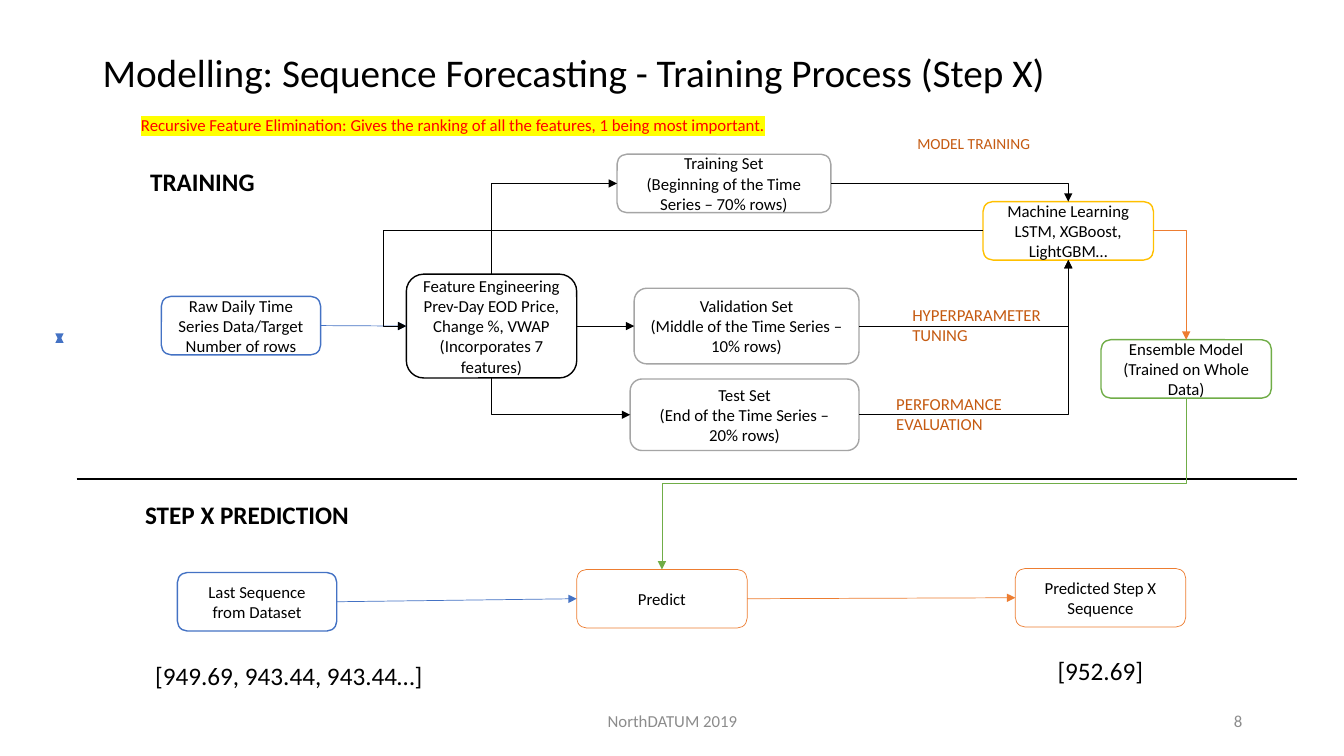
from dataclasses import dataclass

from lxml import etree
from pptx import Presentation
from pptx.dml.color import RGBColor
from pptx.enum.shapes import MSO_CONNECTOR, MSO_SHAPE
from pptx.enum.text import MSO_ANCHOR, PP_ALIGN
from pptx.oxml.ns import qn
from pptx.util import Inches, Pt

TOP, LEFT, BOTTOM, RIGHT = range(4)  # connection sites of a box


@dataclass(frozen=True)
class Theme:
    """Colours, type sizes and line widths of the slide."""
    font: str = "Calibri"
    black: str = "000000"
    white: str = "FFFFFF"
    blue: str = "4472C4"
    grey: str = "A5A5A5"
    green: str = "70AD47"
    gold: str = "FFC000"
    orange: str = "ED7D31"
    rust: str = "C55A11"
    red: str = "FF0000"
    yellow: str = "FFFF00"
    muted: str = "8C8C8C"
    title: int = 28
    heading: int = 18
    body: int = 12
    small: int = 11
    thin: float = 0.5
    outline: float = 1
    rule: float = 1.5


class Diagram:
    """Draws on one slide; lengths are columns and rows of a 0.1 inch grid."""

    def __init__(self, slide, theme):
        """Keep the slide and its style."""
        self.shapes, self.theme = slide.shapes, theme

    def grid(self, *cells):
        """Turn grid cells into slide lengths."""
        return [Inches(cell / 10) for cell in cells]

    def set_text(self, frame, lines, size, color, align, anchor, bold=False):
        """Fill a text frame with one paragraph per line."""
        frame.word_wrap, frame.vertical_anchor = True, anchor
        for i, line in enumerate(lines):
            paragraph = frame.paragraphs[0] if i == 0 else frame.add_paragraph()
            paragraph.alignment = align
            run = paragraph.add_run()
            run.text = line
            run.font.name, run.font.size, run.font.bold = self.theme.font, Pt(size), bold
            run.font.color.rgb = RGBColor.from_string(color)

    def text(self, place, words, size, color=None, align=PP_ALIGN.LEFT,
             anchor=MSO_ANCHOR.TOP, bold=False):
        """Add a text box and return its paragraph."""
        frame = self.shapes.add_textbox(*self.grid(*place)).text_frame
        self.set_text(frame, [words], size, color or self.theme.black, align, anchor, bold)
        return frame.paragraphs[0]

    def highlight(self, paragraph, color):
        """Mark the paragraph's text with a background colour."""
        fill = paragraph.runs[0].font._element.find(qn("a:solidFill"))
        mark = etree.Element(qn("a:highlight"))
        etree.SubElement(mark, qn("a:srgbClr"), val=color)
        fill.addnext(mark)

    def box(self, place, lines, color, width=None):
        """Add a rounded process box."""
        shape = self.shapes.add_shape(MSO_SHAPE.ROUNDED_RECTANGLE, *self.grid(*place))
        shape.shadow.inherit = False
        shape.fill.solid()
        shape.fill.fore_color.rgb = RGBColor.from_string(self.theme.white)
        shape.line.color.rgb = RGBColor.from_string(color)
        shape.line.width = Pt(width or self.theme.outline)
        self.set_text(shape.text_frame, lines, self.theme.body, self.theme.black,
                      PP_ALIGN.CENTER, MSO_ANCHOR.MIDDLE)
        return shape

    def finish(self, line, color, width, ends):
        """Style a connector and give it arrowheads at the named ends."""
        line.line.color.rgb = RGBColor.from_string(color)
        line.line.width = Pt(width)
        outline = line._element.spPr.find(qn("a:ln"))
        for end in ends:
            etree.SubElement(outline, qn(f"a:{end}End"), type="triangle")
        etree.SubElement(line._element.spPr, qn("a:effectLst"))

    def line(self, start, stop, color, width, ends=()):
        """Add a free straight line."""
        line = self.shapes.add_connector(MSO_CONNECTOR.STRAIGHT, *self.grid(*start, *stop))
        self.finish(line, color, width, ends)

    def link(self, source, site, target, target_site, color,
             kind=MSO_CONNECTOR.STRAIGHT, end="tail"):
        """Join two boxes with an arrow and return it."""
        line = self.shapes.add_connector(kind, 0, 0, 0, 0)
        line.begin_connect(source, site)
        line.end_connect(target, target_site)
        self.finish(line, color, self.theme.thin, [end])
        return line

    def corner(self, source, site, target, target_site, color, end="tail"):
        """Join boxes with one bend, leaving the source sideways."""
        line = self.link(source, site, target, target_site, color, MSO_CONNECTOR.ELBOW, end)
        line._element.spPr.prstGeom.set("prst", "bentConnector2")

    def detour(self, source, site, target, target_site, color, bend):
        """Join boxes with two bends; bend is the share of the way to the first."""
        line = self.link(source, site, target, target_site, color, MSO_CONNECTOR.ELBOW)
        guides = line._element.spPr.prstGeom.get_or_add_avLst()
        etree.SubElement(guides, qn("a:gd"), name="adj1", fmla=f"val {round(bend * 100000)}")

    def drop(self, source, target, color):
        """Join a box down to a lower box on its left, bending halfway."""
        line = self.link(source, BOTTOM, target, TOP, color, MSO_CONNECTOR.ELBOW)
        width, height = line.width, line.height
        line.left += (width - height) // 2
        line.top += (height - width) // 2
        line.width, line.height = height, width
        frame = line._element.spPr.xfrm
        frame.attrib.pop("flipH", None)
        frame.set("rot", "5400000")


def training(d):
    """Draw the training flow and return the final model box."""
    t = d.theme
    raw = d.box((16, 29.4, 15.8, 5.8),
                ["Raw Daily Time Series Data/Target", "Number of rows"], t.blue)
    features = d.box((40.3, 27.2, 16.9, 10.3), [
        "Feature Engineering", "Prev-Day EOD Price, Change %, VWAP (Incorporates 7 features)"],
        t.black)
    train, validate, test = [
        d.box(place, [f"{name} Set", f"({part} of the Time Series – {share}% rows)"], t.grey)
        for place, name, part, share in (
            ((61.2, 15.3, 21.2, 5.8), "Training", "Beginning", 70),
            ((62.9, 28.6, 22.3, 7.5), "Validation", "Middle", 10),
            ((62.5, 37.6, 22.7, 7.1), "Test", "End", 20))]
    learner = d.box((97.5, 20, 16.9, 5.8),
                    ["Machine Learning", "LSTM, XGBoost, LightGBM…"], t.gold)
    ensemble = d.box((109.2, 33.7, 16.9, 5.8),
                     ["Ensemble Model", "(Trained on Whole Data)"], t.green)

    d.link(raw, RIGHT, features, LEFT, t.blue)
    d.link(features, RIGHT, validate, LEFT, t.black)
    d.corner(train, LEFT, features, TOP, t.black, end="head")
    d.corner(test, LEFT, features, BOTTOM, t.black, end="head")
    d.corner(train, RIGHT, learner, TOP, t.black)
    for dataset in (validate, test):
        d.corner(dataset, RIGHT, learner, BOTTOM, t.black)
    d.corner(learner, RIGHT, ensemble, TOP, t.orange)
    d.detour(learner, LEFT, features, LEFT, t.black, 1.04)

    for place, words, size in (
            ((90, 12.8, 16, 2.9), "MODEL TRAINING", t.small),
            ((89.5, 29.7, 16, 5), "HYPERPARAMETER TUNING", t.body),
            ((87.9, 38.6, 16, 5), "PERFORMANCE EVALUATION", t.body)):
        d.text(place, words, size, t.rust)
    return ensemble


def prediction(d, ensemble):
    """Draw the prediction flow fed by the trained model."""
    t = d.theme
    last = d.box((17.6, 56.8, 15.8, 5.8), ["Last Sequence from Dataset"], t.blue)
    predict = d.box((57.2, 56.5, 16.9, 5.8), ["Predict"], t.orange, t.thin)
    result = d.box((100.7, 56.4, 16.9, 5.8), ["Predicted Step X Sequence"], t.orange, t.thin)
    d.drop(ensemble, predict, t.green)
    d.link(last, RIGHT, predict, LEFT, t.blue)
    d.link(predict, RIGHT, result, LEFT, t.orange)
    d.text((14.4, 65, 30, 4), "[949.69, 943.44, 943.44…]", t.heading)
    d.text((103.9, 64.5, 11.8, 4), "[952.69]", t.heading)


def main():
    """Build and save the slide."""
    deck = Presentation()
    deck.slide_width, deck.slide_height = Inches(13.33), Inches(7.5)
    t = Theme()
    d = Diagram(deck.slides.add_slide(deck.slide_layouts[6]), t)

    title = d.text((9.2, 3.9, 115, 7.1),
                   "Modelling: Sequence Forecasting - Training Process (Step X)",
                   t.title, anchor=MSO_ANCHOR.MIDDLE)
    title.line_spacing = 0.9
    note = d.text((13, 10.9, 66.4, 3), "Recursive Feature Elimination: Gives the ranking of "
                  "all the features, 1 being most important.", t.body, t.red)
    d.highlight(note, t.yellow)
    d.text((13.9, 16, 14, 4), "TRAINING", t.heading, bold=True)
    d.text((13.4, 49, 29.8, 4), "STEP X PREDICTION", t.heading, bold=True)
    d.line((7.6, 47.5), (128.6, 47.5), t.black, t.rule)
    d.line((5.9, 33.9), (5.9, 33.2), t.blue, t.thin, ("head", "tail"))

    prediction(d, training(d))

    for place, words, align in (((44.2, 69.5, 45, 4), "NorthDATUM 2019", PP_ALIGN.CENTER),
                                ((94.2, 69.5, 30, 4), "8", PP_ALIGN.RIGHT)):
        d.text(place, words, t.body, t.muted, align, MSO_ANCHOR.MIDDLE)
    deck.save("out.pptx")


main()
